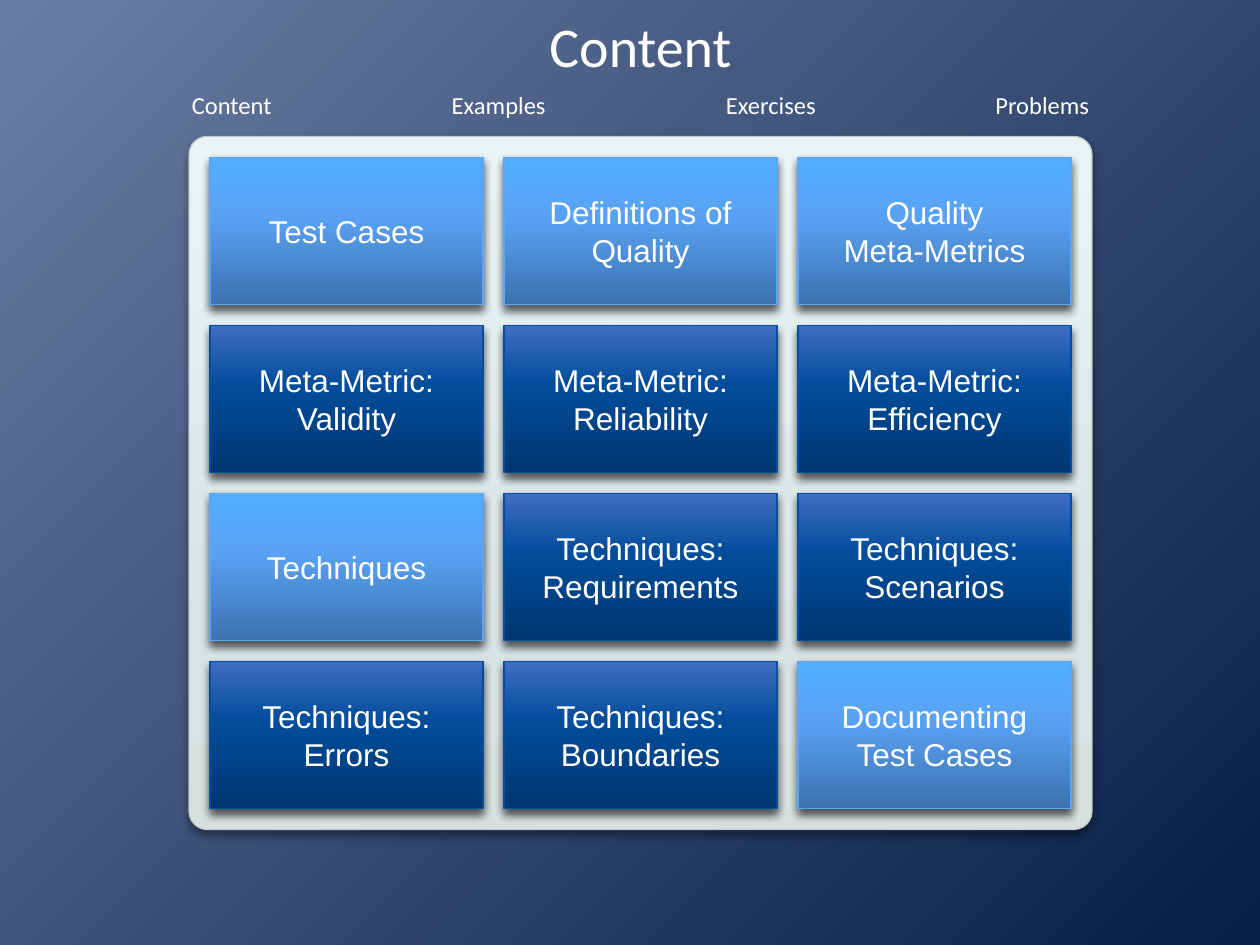
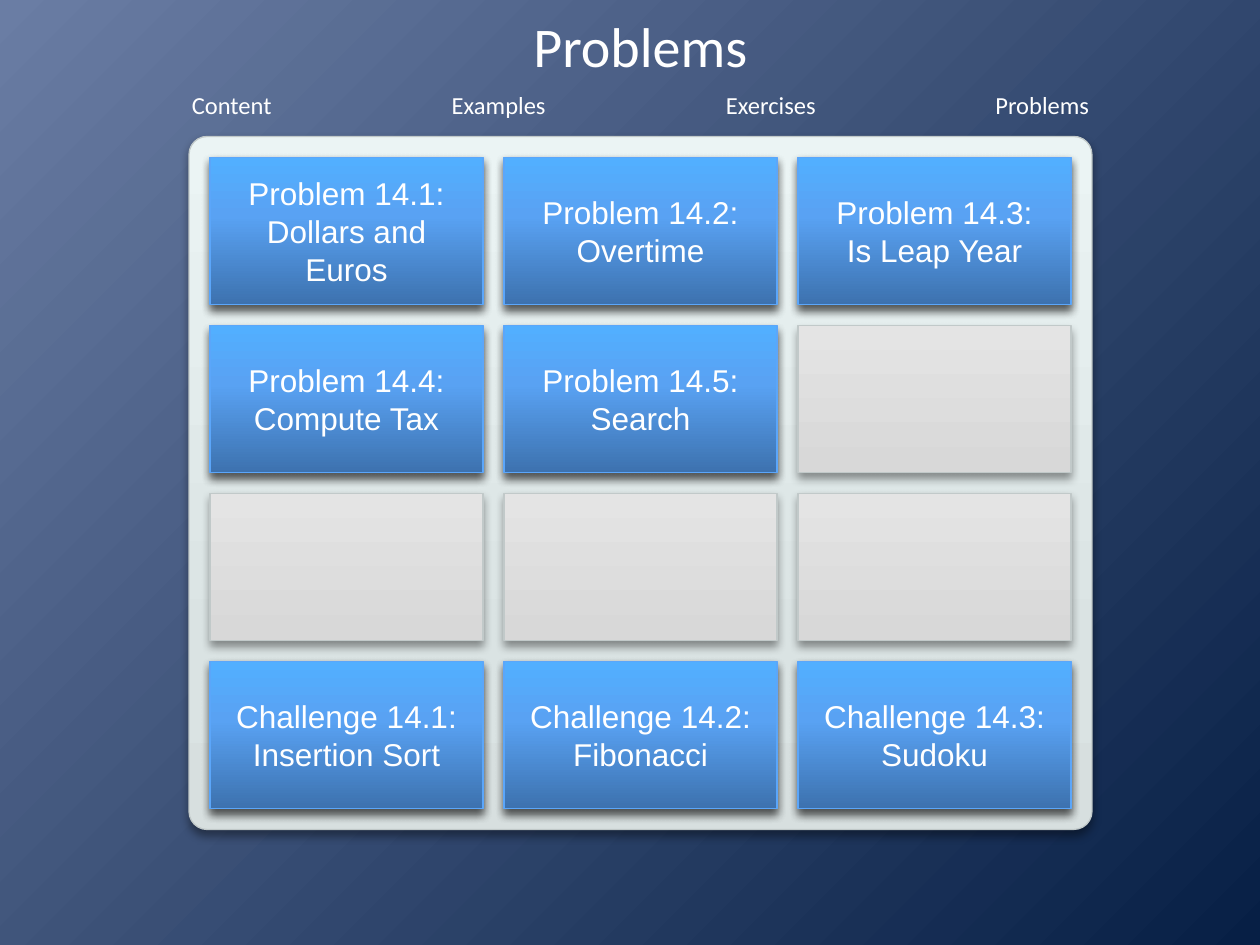
from dataclasses import dataclass
from typing import Optional

from lxml.etree import SubElement
from pptx import Presentation
from pptx.dml.color import RGBColor
from pptx.enum.shapes import MSO_SHAPE
from pptx.enum.text import MSO_ANCHOR, MSO_AUTO_SIZE, PP_ALIGN
from pptx.oxml.ns import qn
from pptx.util import Pt

WHITE = "FFFFFF"
HEADING_FONT = "Calibri"
TILE_FONT = "Arial"

# Tile grid, in points
GRID_LEFT, GRID_TOP = 120, 90
TILE_WIDTH, TILE_HEIGHT, GAP = 156, 84, 12
COLUMNS, ROWS = 3, 4

NAV_LEFT, NAV_TOP, NAV_HEIGHT, NAV_GAP = 102.2, 48.2, 24.2, 87.8
NAV_WIDTHS = {"Content": 60.5, "Examples": 69, "Exercises": 66.3, "Problems": 68.4}


@dataclass(frozen=True)
class Box:
    left: float
    top: float
    width: float
    height: float

    def points(self) -> tuple:
        return Pt(self.left), Pt(self.top), Pt(self.width), Pt(self.height)


@dataclass(frozen=True)
class Look:
    stops: tuple  # (percent, colour) from bottom to top
    line: str


@dataclass(frozen=True)
class Tile:
    look: Look
    paragraphs: tuple  # a newline inside a paragraph is a line break


PANEL = Look(((0, "D7DFDF"), (25, "DAE3E3"), (100, "EBF4F4")), "C1C9C9")
EMPTY = Look(((0, "D8D8D8"), (1, "D8D8D8"), (100, "E4E4E4")), "C1C9C9")
BRIGHT = Look(((0, "3D72AF"), (60, "59A2F3"), (100, "52AFFF")), "5BA6FA")
DARK = Look(((0, "003671"), (60, "034D9B"), (100, "406DC3")), "034EA0")
BACKDROP = ((0, "6A7DA4"), (100, "071F45"))

PANEL_BOX = Box(108, 78, 516, 396)
TITLE_BOX = Box(108, 8, 516, 36)


def color(value: str) -> RGBColor:
    return RGBColor.from_string(value)


def bright(*paragraphs: str) -> Tile:
    return Tile(BRIGHT, paragraphs)


def dark(*paragraphs: str) -> Tile:
    return Tile(DARK, paragraphs)


def set_gradient(fill, owner, stops: tuple, radial: bool = False) -> None:
    """Fill with a vertical gradient, or a circular one from the top left corner."""
    fill.gradient()
    gradient = owner.element.find(".//" + qn("a:gradFill"))
    for child in list(gradient):
        gradient.remove(child)
    stop_list = SubElement(gradient, qn("a:gsLst"))
    for percent, value in stops:
        stop = SubElement(stop_list, qn("a:gs"), pos=str(percent * 1000))
        SubElement(stop, qn("a:srgbClr"), val=value)
    if radial:
        circle = SubElement(gradient, qn("a:path"), path="circle")
        SubElement(circle, qn("a:fillToRect"), r="100000", b="100000")
    else:
        SubElement(gradient, qn("a:lin"), ang="16200000", scaled="0")


def add_shadow(shape) -> None:
    shape.shadow.inherit = False
    effects = shape.element.spPr.find(qn("a:effectLst"))
    shadow = SubElement(effects, qn("a:outerShdw"), blurRad=str(Pt(5.2)),
                        dist=str(Pt(3)), dir="5400000", rotWithShape="0")
    black = SubElement(shadow, qn("a:srgbClr"), val="000000")
    SubElement(black, qn("a:alpha"), val="40000")


def add_block(page, kind, box: Box, look: Look):
    shape = page.shapes.add_shape(kind, *box.points())
    set_gradient(shape.fill, shape, look.stops)
    shape.line.color.rgb = color(look.line)
    shape.line.width = Pt(0.75)
    add_shadow(shape)
    return shape


def write(frame, paragraphs: tuple, font: str, size: float) -> None:
    for index, text in enumerate(paragraphs):
        para = frame.add_paragraph() if index else frame.paragraphs[0]
        para.alignment = PP_ALIGN.CENTER
        for number, line in enumerate(text.split("\n")):
            if number:
                para.add_line_break()
            span = para.add_run()
            span.text = line
            span.font.name = font
            span.font.size = Pt(size)
            span.font.color.rgb = color(WHITE)


def add_title(page, text: str) -> None:
    title = page.shapes.title
    title.left, title.top, title.width, title.height = TITLE_BOX.points()
    frame = title.text_frame
    frame.margin_left = frame.margin_right = frame.margin_top = frame.margin_bottom = 0
    frame.vertical_anchor = MSO_ANCHOR.MIDDLE
    frame.auto_size = MSO_AUTO_SIZE.NONE
    write(frame, (text,), HEADING_FONT, 32)


def add_navigation(page) -> None:
    left = NAV_LEFT
    for label, width in NAV_WIDTHS.items():
        box = Box(left, NAV_TOP, width, NAV_HEIGHT)
        frame = page.shapes.add_textbox(*box.points()).text_frame
        frame.word_wrap = False
        frame.auto_size = MSO_AUTO_SIZE.SHAPE_TO_FIT_TEXT
        write(frame, (label,), HEADING_FONT, 14)
        left += width + NAV_GAP


def add_tile(page, row: int, column: int, tile: Optional[Tile] = None) -> None:
    box = Box(GRID_LEFT + column * (TILE_WIDTH + GAP),
              GRID_TOP + row * (TILE_HEIGHT + GAP), TILE_WIDTH, TILE_HEIGHT)
    shape = add_block(page, MSO_SHAPE.RECTANGLE, box, tile.look if tile else EMPTY)
    if tile:
        frame = shape.text_frame
        frame.word_wrap = True
        frame.vertical_anchor = MSO_ANCHOR.MIDDLE
        write(frame, tile.paragraphs, TILE_FONT, 18)


def add_board(deck, title: str, grid: list) -> None:
    page = deck.slides.add_slide(deck.slide_layouts.get_by_name("Title Only"))
    # Panel with its empty slots
    panel = add_block(page, MSO_SHAPE.ROUNDED_RECTANGLE, PANEL_BOX, PANEL)
    panel.adjustments[0] = 0.026
    for row in range(ROWS):
        for column in range(COLUMNS):
            add_tile(page, row, column)
    add_navigation(page)
    add_title(page, title)
    # Topics on top of the slots
    for row, tiles in enumerate(grid):
        for column, tile in enumerate(tiles):
            if tile:
                add_tile(page, row, column, tile)


CONTENT = [
    [bright("Test Cases"), bright("Definitions of Quality"),
     bright("Quality\nMeta-Metrics")],
    [dark("Meta-Metric:", name) for name in ("Validity", "Reliability", "Efficiency")],
    [bright("Techniques"), dark("Techniques:", "Requirements"),
     dark("Techniques:", "Scenarios")],
    [dark("Techniques:", "Errors"), dark("Techniques:", "Boundaries"),
     bright("Documenting", "Test Cases")],
]

PROBLEMS = [
    [bright("Problem 14.1:\nDollars and Euros"), bright("Problem 14.2:\nOvertime"),
     bright("Problem 14.3:\nIs Leap Year")],
    [bright("Problem 14.4:\nCompute Tax"), bright("Problem 14.5:\nSearch"), None],
    [None, None, None],
    [bright("Challenge 14.1:\nInsertion Sort"), bright("Challenge 14.2:\nFibonacci"),
     bright("Challenge 14.3:\nSudoku")],
]


def main() -> None:
    deck = Presentation()
    deck.slide_width, deck.slide_height = Pt(720), Pt(540)
    master = deck.slide_master
    set_gradient(master.background.fill, master, BACKDROP, radial=True)
    add_board(deck, "Content", CONTENT)
    add_board(deck, "Problems", PROBLEMS)
    deck.save("out.pptx")


if __name__ == "__main__":
    main()
